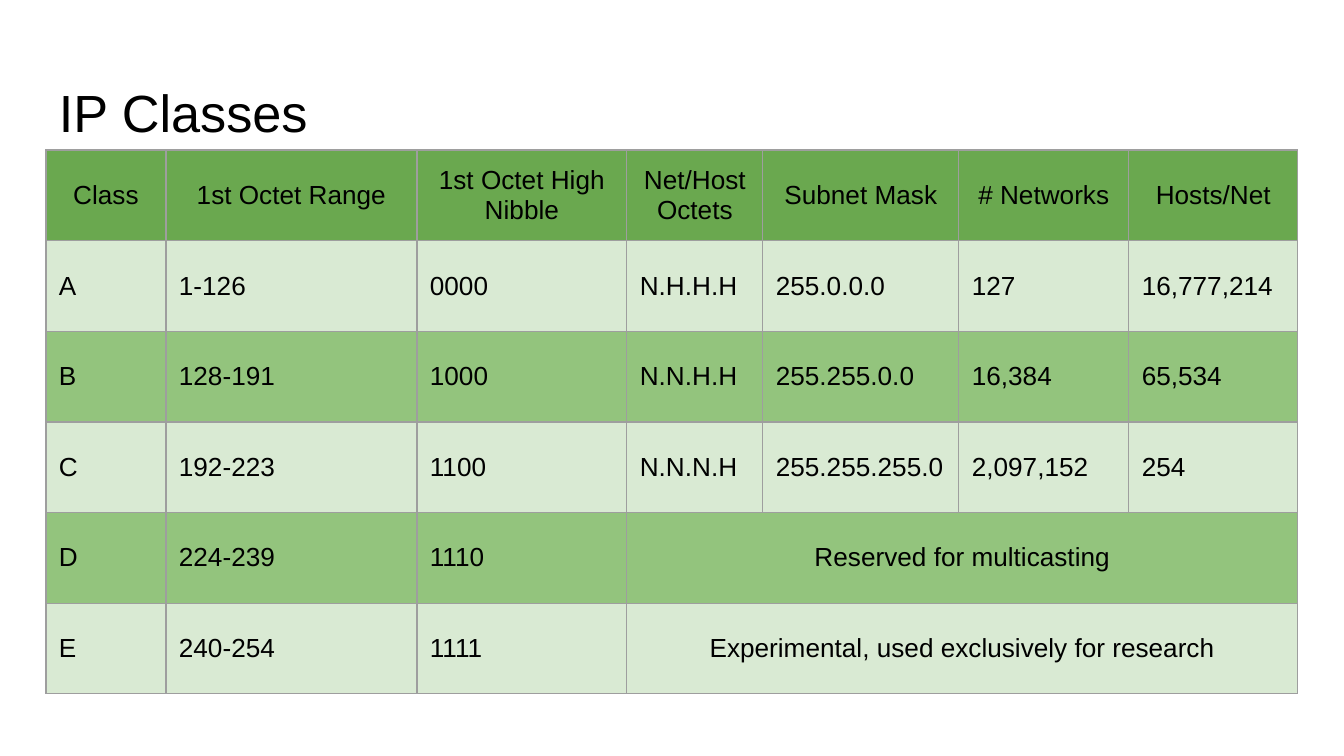
import pptx
import pptx.util
import pptx.dml.color
import pptx.enum.text
import pptx.oxml
import pptx.oxml.ns

PX = 914400 / 134.4
BLACK = pptx.dml.color.RGBColor(0x00, 0x00, 0x00)
HEADER_GREEN = pptx.dml.color.RGBColor(0x6A, 0xA8, 0x4F)
PALE_GREEN = pptx.dml.color.RGBColor(0xD9, 0xEA, 0xD3)
MID_GREEN = pptx.dml.color.RGBColor(0x93, 0xC4, 0x7D)
BORDER_GREY = pptx.dml.color.RGBColor(0x9E, 0x9E, 0x9E)
ALIGN = pptx.enum.text.PP_ALIGN
ANCHOR = pptx.enum.text.MSO_ANCHOR


def px(length):
    return pptx.util.Emu(round(length * PX))


def style_text(paragraph, size, align):
    paragraph.alignment = align
    for run in paragraph.runs:
        run.font.name = "Arial"
        run.font.size = pptx.util.Pt(size)
        run.font.color.rgb = BLACK


deck = pptx.Presentation()
deck.slide_width, deck.slide_height = px(1344), px(756)
slide = deck.slides.add_slide(deck.slide_layouts[5])

# Title
title = slide.shapes.title
title.left, title.top, title.width, title.height = px(46), px(66), px(1252), px(84)
title_frame = title.text_frame
title_frame.text = "IP Classes"
title_frame.auto_size = pptx.enum.text.MSO_AUTO_SIZE.NONE
title_frame.vertical_anchor = ANCHOR.BOTTOM
title_frame.margin_left = title_frame.margin_right = px(13)
title_frame.margin_top, title_frame.margin_bottom = px(13), px(7)
style_text(title_frame.paragraphs[0], 28, ALIGN.LEFT)

# Class table: a short row has a last cell that spans the remaining columns
ip_classes = [
    ["Class", "1st Octet Range", "1st Octet High Nibble", "Net/Host Octets",
     "Subnet Mask", "# Networks", "Hosts/Net"],
    ["A", "1-126", "0000", "N.H.H.H", "255.0.0.0", "127", "16,777,214"],
    ["B", "128-191", "1000", "N.N.H.H", "255.255.0.0", "16,384", "65,534"],
    ["C", "192-223", "1100", "N.N.N.H", "255.255.255.0", "2,097,152", "254"],
    ["D", "224-239", "1110", "Reserved for multicasting"],
    ["E", "240-254", "1111", "Experimental, used exclusively for research"],
]
column_widths = [120, 251, 210, 136, 196, 170, 169]
table_height = 544
row_count, column_count = len(ip_classes), len(column_widths)
class_table = slide.shapes.add_table(
    row_count, column_count, px(46), px(150), px(sum(column_widths)), px(table_height)).table
class_table.first_row = class_table.horz_banding = False
for column, width in zip(class_table.columns, column_widths):
    column.width = px(width)
for row in class_table.rows:
    row.height = px(table_height / row_count)

# Cell text, borders and fills
for r, values in enumerate(ip_classes):
    last = len(values) - 1
    spans = len(values) < column_count
    if spans:
        class_table.cell(r, last).merge(class_table.cell(r, column_count - 1))
    for c in range(column_count):
        cell = class_table.cell(r, c)
        cell.margin_left = cell.margin_right = px(13)
        cell.margin_top = cell.margin_bottom = px(13)
        cell.vertical_anchor = ANCHOR.MIDDLE
        if c <= last:
            cell.text = values[c]
            centred = r == 0 or (spans and c == last)
            style_text(cell.text_frame.paragraphs[0], 14,
                       ALIGN.CENTER if centred else ALIGN.LEFT)
        for side in ("lnL", "lnR", "lnT", "lnB"):
            cell._tc.get_or_add_tcPr().append(pptx.oxml.parse_xml(
                f'<a:{side} {pptx.oxml.ns.nsdecls("a")} w="9525"><a:solidFill>'
                f'<a:srgbClr val="{BORDER_GREY}"/></a:solidFill></a:{side}>'))
        cell.fill.solid()
        cell.fill.fore_color.rgb = (
            HEADER_GREEN if r == 0 else PALE_GREEN if r % 2 else MID_GREEN)

deck.save("out.pptx")
